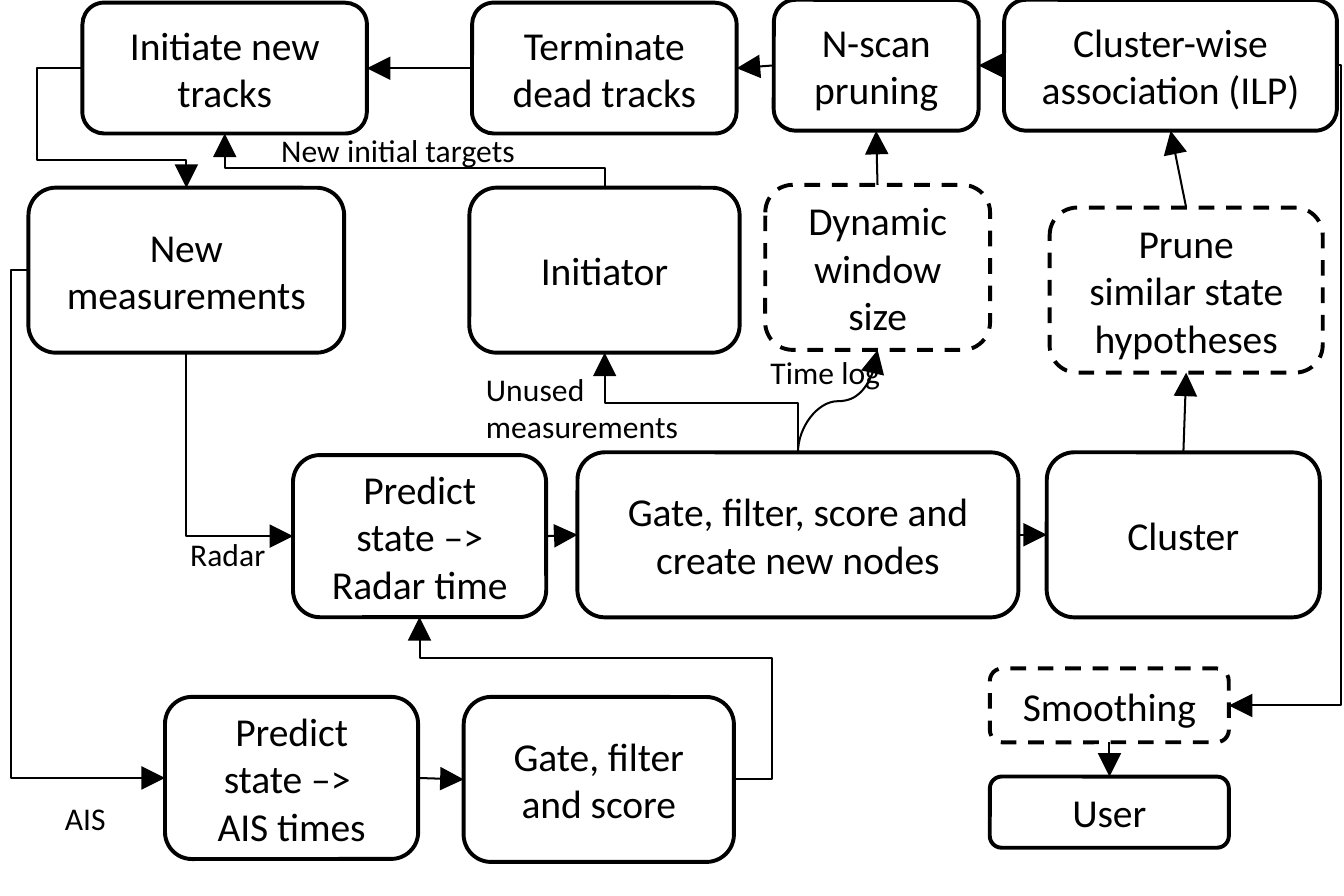
from lxml.etree import SubElement
from pptx import Presentation
from pptx.dml.color import RGBColor
from pptx.enum.dml import MSO_LINE
from pptx.enum.shapes import MSO_CONNECTOR, MSO_SHAPE
from pptx.enum.text import MSO_ANCHOR, MSO_AUTO_SIZE, PP_ALIGN
from pptx.oxml.ns import qn
from pptx.util import Cm, Inches, Pt

INK = "000000"
FONT = "Calibri"
TOP, LEFT, BOTTOM, RIGHT = range(4)

TRACK_ROW = [
    ("initiate", ["Initiate new tracks"], 0, 0.01, 1, 0.46, False),
    ("terminate", ["Terminate dead tracks"], 1.37, 0.01, 0.93, 0.46, False),
    ("n_scan", ["N-scan pruning"], 2.43, 0, 0.72, 0.46, False),
    ("association", ["Cluster-wise association (ILP)"], 3.24, 0, 1.17, 0.46, False),
]
SUPPORT_ROW = [
    ("measurements", ["New measurements"], 0, 0.01, 1.11, 0.58, False),
    ("initiator", ["Initiator"], 1.55, 0.01, 0.95, 0.58, False),
    ("window", ["Dynamic window size"], 2.59, 0, 0.79, 0.58, True),
    ("prune", ["Prune similar state hypotheses"], 3.59, 0.08, 0.96, 0.58, True),
]
RADAR_ROW = [
    ("predict_radar", ["Predict state –> Radar time"], 0, 0.01, 0.89, 0.57, False),
    ("gate_radar", ["Gate, filter, score and create new nodes"], 1, 0, 1.55, 0.58, False),
    ("cluster", ["Cluster"], 2.65, 0, 0.96, 0.58, False),
]
AIS_ROW = [
    ("predict_ais", ["Predict state –> ", "AIS times"], 0, 0, 0.89, 0.57, False),
    ("gate_ais", ["Gate, filter and score"], 1.05, 0, 0.95, 0.58, False),
]
OUTPUT_COLUMN = [
    ("smoothing", ["Smoothing"], 0, 0, 0.84, 0.26, True),
    ("user", ["User"], 0, 0.38, 0.84, 0.25, False),
]
LABELS = [
    ("Unused measurements", 1.61, 1.25, 0.89, 0.37),
    ("Time log", 2.61, 1.19, 0.71, 0.24),
    ("New initial targets", 0.89, 0.41, 1.08, 0.24),
    ("Radar", 0.57, 1.83, 0.49, 0.24),
    ("AIS", 0.13, 2.76, 0.37, 0.24),
]
STRAIGHT_ARROWS = [
    ("association", LEFT, "n_scan", RIGHT),
    ("n_scan", LEFT, "terminate", RIGHT),
    ("terminate", LEFT, "initiate", RIGHT),
    ("window", TOP, "n_scan", BOTTOM),
    ("prune", TOP, "association", BOTTOM),
    ("cluster", TOP, "prune", BOTTOM),
    ("predict_radar", RIGHT, "gate_radar", LEFT),
    ("gate_radar", RIGHT, "cluster", LEFT),
    ("predict_ais", RIGHT, "gate_ais", LEFT),
    ("smoothing", BOTTOM, "user", TOP),
]
ROUTED_ARROWS = [
    ("measurements", BOTTOM, "predict_radar", LEFT, "bentConnector2", []),
    ("initiate", LEFT, "measurements", TOP, "bentConnector4", [-0.44, 0.77]),
    ("gate_radar", TOP, "initiator", BOTTOM, "bentConnector3", [0.5]),
    ("initiator", TOP, "initiate", BOTTOM, "bentConnector3", [0.37]),
    ("gate_radar", TOP, "window", BOTTOM, "curvedConnector3", [0.5]),
    ("measurements", LEFT, "predict_ais", LEFT, "bentConnector3", [-0.13]),
    ("gate_ais", RIGHT, "predict_radar", BOTTOM, "bentConnector4", [-0.12, 0.75]),
    ("association", RIGHT, "smoothing", RIGHT, "bentConnector3", [-0.04]),
]


def color(value):
    return RGBColor.from_string(value)


def write(tf, paragraphs, size, align):
    tf.word_wrap = True
    for i, text in enumerate(paragraphs):
        p = tf.paragraphs[0] if i == 0 else tf.add_paragraph()
        p.alignment = align
        r = p.add_run()
        r.text = text
        r.font.size = Pt(size)
        r.font.name = FONT
        r.font.color.rgb = color(INK)


def add_steps(slide, left, top, steps):
    shapes = {}
    for name, text, dx, dy, width, height, optional in steps:
        sp = slide.shapes.add_shape(
            MSO_SHAPE.ROUNDED_RECTANGLE,
            Inches(left + dx), Inches(top + dy), Inches(width), Inches(height))
        sp.shadow.inherit = False
        sp.fill.background()
        sp.line.color.rgb = color(INK)
        sp.line.width = Pt(1)
        if optional:
            sp.line.dash_style = MSO_LINE.DASH
        sp.text_frame.vertical_anchor = MSO_ANCHOR.MIDDLE
        write(sp.text_frame, text, 10, PP_ALIGN.CENTER)
        shapes[name] = sp
    return shapes


def add_label(slide, text, *box):
    tf = slide.shapes.add_textbox(*map(Inches, box)).text_frame
    write(tf, [text], 8, PP_ALIGN.LEFT)
    tf.auto_size = MSO_AUTO_SIZE.SHAPE_TO_FIT_TEXT


def add_arrow(slide, start, start_site, end, end_site):
    cxn = slide.shapes.add_connector(MSO_CONNECTOR.STRAIGHT, 0, 0, 0, 0)
    cxn.begin_connect(start, start_site)
    cxn.end_connect(end, end_site)
    cxn.line.color.rgb = color(INK)
    cxn.line.width = Pt(0.5)
    SubElement(cxn.line._get_or_add_ln(), qn("a:tailEnd"), type="triangle")
    SubElement(cxn._element.spPr, qn("a:effectLst"))
    return cxn


def route(cxn, vertical, preset, bends):
    dx, dy = cxn.end_x - cxn.begin_x, cxn.end_y - cxn.begin_y
    center_x = (cxn.begin_x + cxn.end_x) // 2
    center_y = (cxn.begin_y + cxn.end_y) // 2
    xfrm = cxn._element.spPr.find(qn("a:xfrm"))
    if vertical:
        dx, dy = -dy, dx
        xfrm.set("rot", str(270 * 60000))
    xfrm.set("flipH", str(int(dx < 0)))
    xfrm.set("flipV", str(int(dy < 0)))
    cxn.width, cxn.height = abs(dx), abs(dy)
    cxn.left, cxn.top = center_x - abs(dx) // 2, center_y - abs(dy) // 2
    geometry = cxn._element.spPr.find(qn("a:prstGeom"))
    geometry.set("prst", preset)
    guides = geometry.find(qn("a:avLst"))
    for i, bend in enumerate(bends, 1):
        SubElement(guides, qn("a:gd"), name=f"adj{i}", fmla=f"val {round(bend * 100000)}")


def add_flow(slide, left, top):
    steps = {}
    for dx, dy, region in [
        (0.29, 0, TRACK_ROW),
        (0.1, 0.65, SUPPORT_ROW),
        (1.03, 1.59, RADAR_ROW),
        (0.58, 2.45, AIS_ROW),
        (3.48, 2.35, OUTPUT_COLUMN),
    ]:
        steps.update(add_steps(slide, left + dx, top + dy, region))
    for start, start_site, end, end_site in STRAIGHT_ARROWS:
        add_arrow(slide, steps[start], start_site, steps[end], end_site)
    for start, start_site, end, end_site, preset, bends in ROUTED_ARROWS:
        cxn = add_arrow(slide, steps[start], start_site, steps[end], end_site)
        route(cxn, start_site in (TOP, BOTTOM), preset, bends)
    for text, x, y, width, height in LABELS:
        add_label(slide, text, left + x, top + y, width, height)


def main():
    prs = Presentation()
    prs.slide_width, prs.slide_height = Cm(12), Cm(8)
    slide = prs.slides.add_slide(prs.slide_layouts[6])
    add_flow(slide, 0, 0)
    prs.save("out.pptx")


if __name__ == "__main__":
    main()
